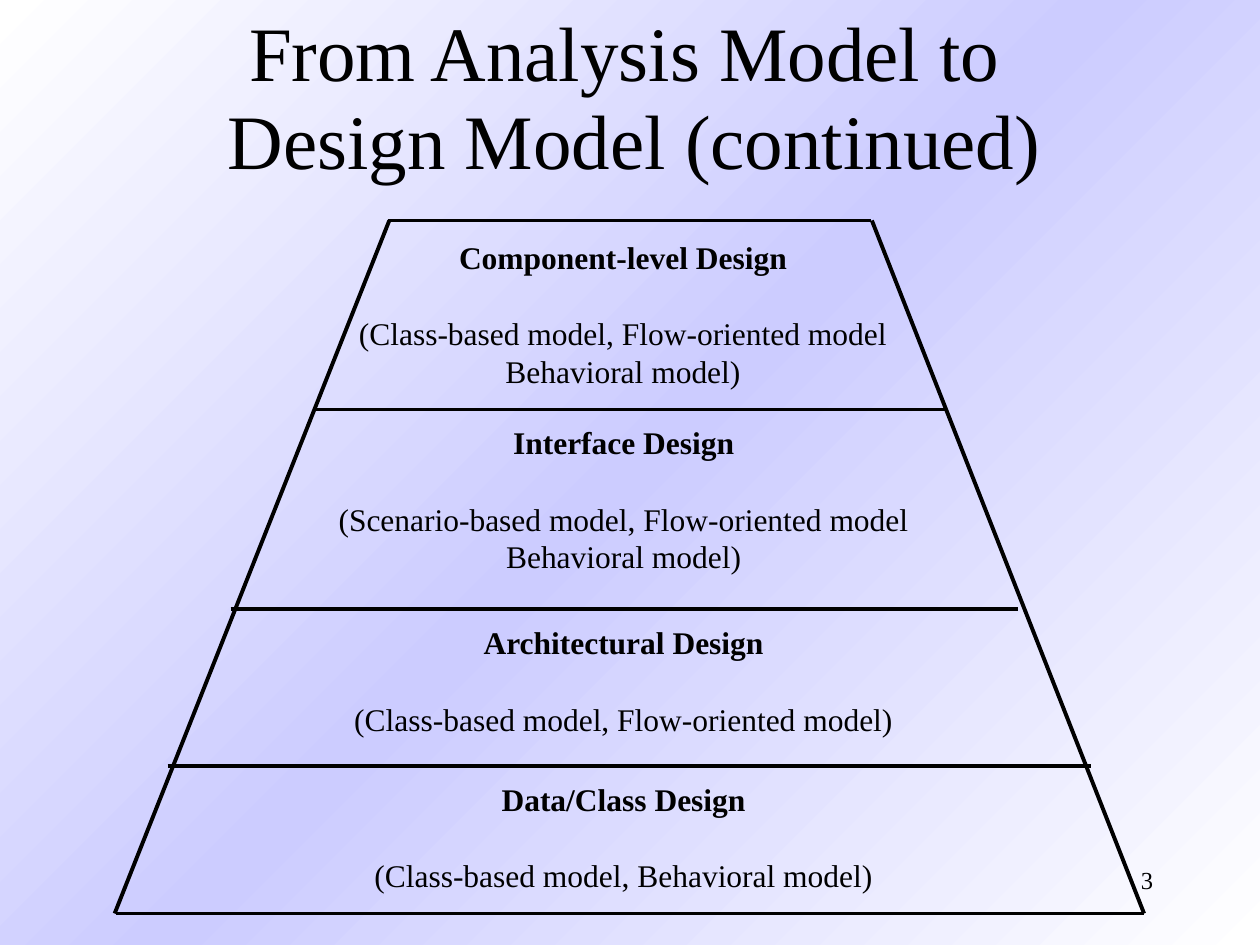
from dataclasses import dataclass

from lxml import etree
from pptx import Presentation
from pptx.dml.color import RGBColor
from pptx.enum.shapes import MSO_CONNECTOR, MSO_SHAPE
from pptx.enum.text import MSO_ANCHOR, MSO_AUTO_SIZE, PP_ALIGN
from pptx.oxml.ns import qn
from pptx.util import Inches, Pt

LEFT, CENTER, RIGHT = PP_ALIGN.LEFT, PP_ALIGN.CENTER, PP_ALIGN.RIGHT
TOP, MIDDLE = MSO_ANCHOR.TOP, MSO_ANCHOR.MIDDLE
NO_FIT = MSO_AUTO_SIZE.NONE
STRAIGHT = MSO_CONNECTOR.STRAIGHT
ROUNDED = MSO_SHAPE.ROUNDED_RECTANGLE
TITLE_ONLY = 5


@dataclass(frozen=True)
class Theme:
    font: str = "Times New Roman"
    ink: RGBColor = RGBColor(0, 0, 0)
    background: tuple = ((0, "FFFFFF"), (50, "CCCCFF"), (100, "FFFFFF"))
    background_angle: int = 135
    title_size: int = 44
    body_size: int = 18
    number_size: int = 14
    line_width: float = 2.25
    tight: float = 0.95
    heading_gap: float = 21.7


class SlideBuilder:
    def __init__(self, slide, theme):
        self.s = slide
        self.theme = theme

    def background(self):
        fill = self.s.background.fill
        fill.gradient()
        fill.gradient_angle = self.theme.background_angle
        stops = next(self.s.element.iter(qn("a:gsLst")))
        for stop in list(stops):
            stops.remove(stop)
        for percent, color in self.theme.background:
            stop = etree.SubElement(stops, qn("a:gs"), pos=str(percent * 1000))
            etree.SubElement(stop, qn("a:srgbClr"), val=color)

    def place(self, sp, left, top, width, height):
        sp.left, sp.top = Inches(left), Inches(top)
        sp.width, sp.height = Inches(width), Inches(height)

    def frame(self, sp, anchor=TOP, wrap=True):
        tf = sp.text_frame
        tf.auto_size = NO_FIT
        tf.word_wrap = wrap
        tf.vertical_anchor = anchor
        tf.margin_left = tf.margin_right = Inches(0.1)
        tf.margin_top = tf.margin_bottom = Inches(0.05)
        return tf

    def run(self, p, text, size, bold=False):
        r = p.add_run()
        r.text = text
        r.font.name = self.theme.font
        r.font.size = Pt(size)
        r.font.bold = bold
        r.font.color.rgb = self.theme.ink

    def title(self, lines, box):
        sp = self.s.shapes.title
        self.place(sp, *box)
        p = self.frame(sp, MIDDLE).paragraphs[0]
        p.alignment = CENTER
        p.line_spacing = self.theme.tight
        for i, line in enumerate(lines):
            if i:
                p.add_line_break()
            self.run(p, line, self.theme.title_size)

    def number(self, text, box):
        sp = self.s.shapes.add_textbox(*map(Inches, box))
        p = self.frame(sp).paragraphs[0]
        p.alignment = RIGHT
        p.line_spacing = self.theme.tight
        self.run(p, text, self.theme.number_size)

    def layer(self, heading, models, box):
        sp = self.s.shapes.add_shape(ROUNDED, *map(Inches, box))
        sp.adjustments[0] = 0
        sp.shadow.inherit = False
        sp.fill.background()
        sp.line.fill.background()
        tf = self.frame(sp, wrap=False)
        p = tf.paragraphs[0]
        p.alignment = CENTER
        p.line_spacing = self.theme.tight
        self.run(p, heading, self.theme.body_size, bold=True)
        for i, model in enumerate(models):
            p = tf.add_paragraph()
            p.alignment = CENTER
            if i == 0:
                p.space_before = Pt(self.theme.heading_gap)
            self.run(p, model, self.theme.body_size)

    def line(self, x1, y1, x2, y2):
        cx = self.s.shapes.add_connector(STRAIGHT, *map(Inches, (x1, y1, x2, y2)))
        cx.line.color.rgb = self.theme.ink
        cx.line.width = Pt(self.theme.line_width)
        etree.SubElement(cx.element.spPr, qn("a:effectLst"))


LAYERS = (
    ("Data/Class Design",
     ("(Class-based model, Behavioral model)",), (2.87, 6.16, 4.16, 0.99)),
    ("Architectural Design",
     ("(Class-based model, Flow-oriented model)",), (2.71, 4.92, 4.48, 0.99)),
    ("Interface Design",
     ("(Scenario-based model, Flow-oriented model", "Behavioral model)"),
     (2.59, 3.33, 4.72, 1.29)),
    ("Component-level Design",
     ("(Class-based model, Flow-oriented model", "Behavioral model)"),
     (2.75, 1.86, 4.39, 1.29)),
)
PYRAMID_TOP, PYRAMID_BOTTOM = 1.75, 7.25
SIDES = ((3.09, 0.91), (6.92, 9.08))
LEVELS = (
    (PYRAMID_BOTTOM, 0.92, 9.08),
    (PYRAMID_TOP, 3.08, 6.91),
    (6.08, 1.33, 8.66),
    (4.83, 1.83, 8.08),
    (3.25, 2.5, 7.5),
)


def main():
    prs = Presentation()
    prs.slide_width, prs.slide_height = Inches(10), Inches(7.5)
    slide = prs.slides.add_slide(prs.slide_layouts[TITLE_ONLY])
    b = SlideBuilder(slide, Theme())
    b.background()
    b.number("3", (7.17, 6.83, 2.08, 0.32))
    b.title(("From Analysis Model to ", "Design Model (continued)"),
            (0.83, 0.04, 8.41, 1.5))
    for heading, models, box in LAYERS:
        b.layer(heading, models, box)
    for x_top, x_bottom in SIDES:
        b.line(x_top, PYRAMID_TOP, x_bottom, PYRAMID_BOTTOM)
    for y, x_left, x_right in LEVELS:
        b.line(x_left, y, x_right, y)
    prs.save("out.pptx")


if __name__ == "__main__":
    main()
